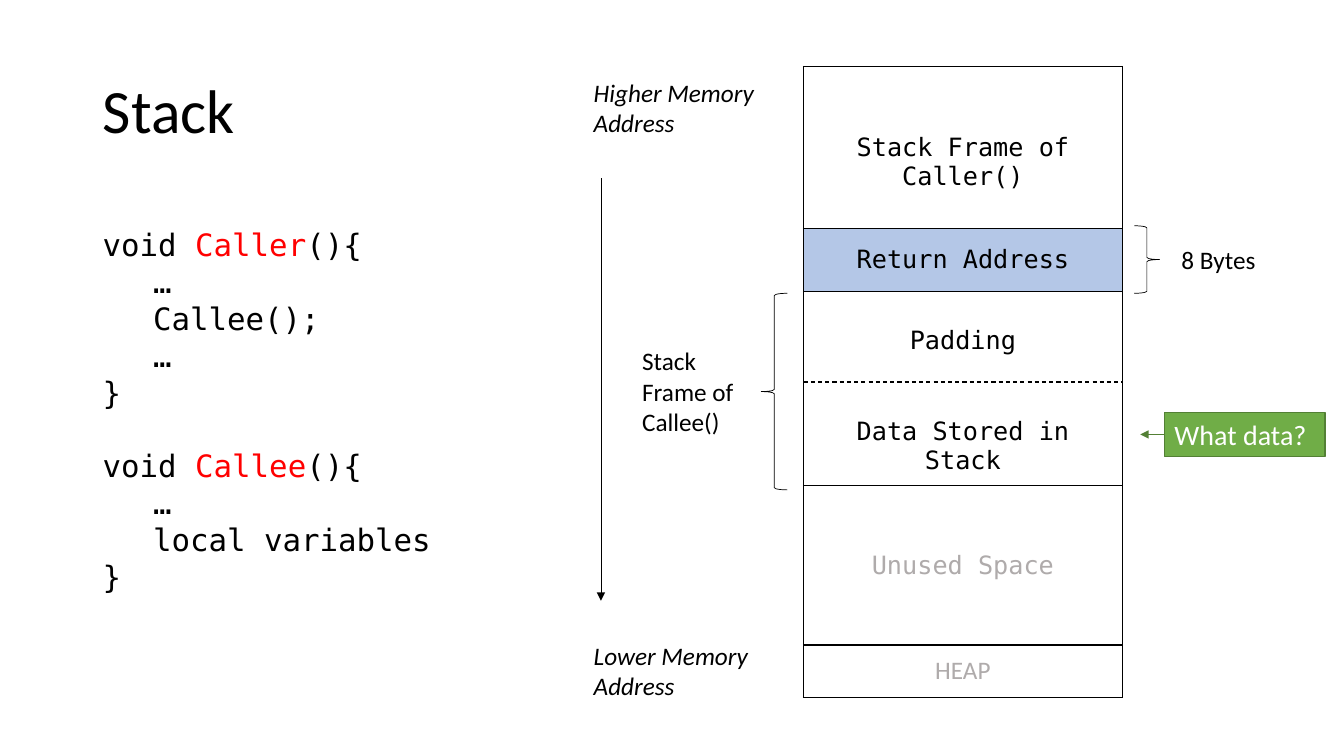
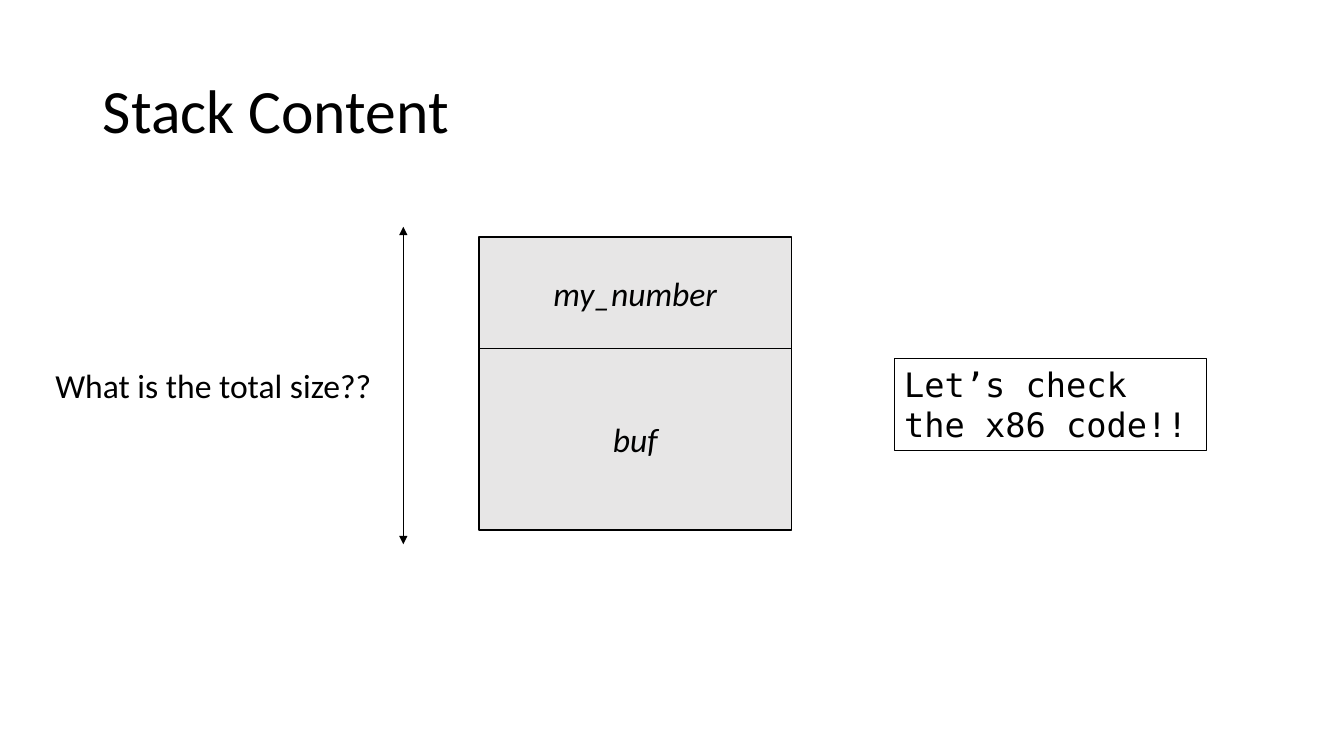
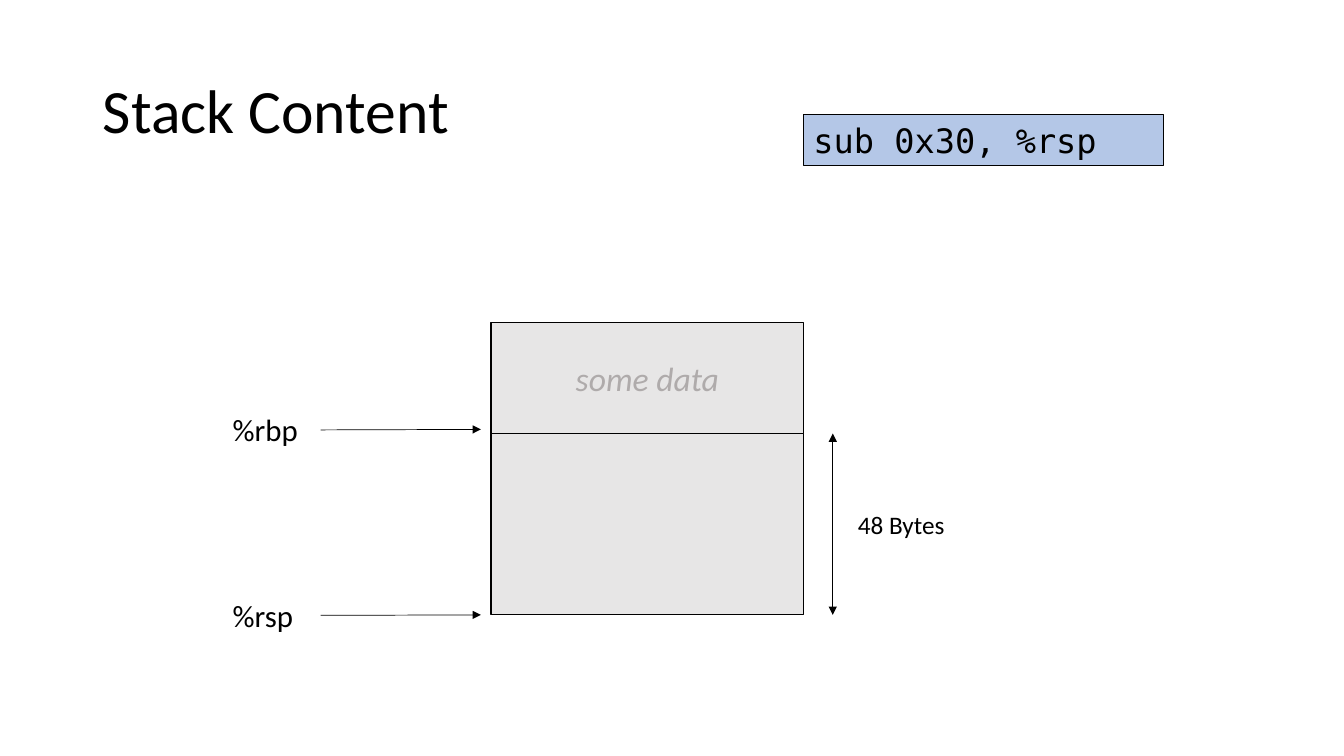
from lxml import etree
from pptx import Presentation
from pptx.dml.color import RGBColor
from pptx.enum.dml import MSO_LINE
from pptx.enum.shapes import MSO_CONNECTOR, MSO_SHAPE
from pptx.enum.text import MSO_ANCHOR, MSO_AUTO_SIZE, PP_ALIGN
from pptx.oxml.ns import qn
from pptx.util import Inches, Pt

BLACK = RGBColor(0x00, 0x00, 0x00)
WHITE = RGBColor(0xFF, 0xFF, 0xFF)
RED = RGBColor(0xFF, 0x00, 0x00)
GREEN = RGBColor(0x70, 0xAD, 0x47)
DARK_GREEN = RGBColor(0x53, 0x80, 0x35)
BLUE = RGBColor(0xB4, 0xC7, 0xE7)
LIGHT_GRAY = RGBColor(0xE7, 0xE6, 0xE6)
GRAY = RGBColor(0xAF, 0xAB, 0xAB)
SANS = "Calibri"
MONO = "DejaVu Sans Mono"


def inches(*values):
    return [Inches(v) for v in values]


def style_font(font, size, color=BLACK, name=SANS, italic=False):
    font.size = Pt(size)
    font.name = name
    font.color.rgb = color
    if italic:
        font.italic = True


def style_line(line, color, width):
    line.color.rgb = color
    line.width = Pt(width)


def new_slide(prs, title):
    s = prs.slides.add_slide(prs.slide_layouts[5])
    sp = s.shapes.title
    sp.left, sp.top, sp.width, sp.height = inches(0.92, 0.4, 11.5, 1.45)
    tf = sp.text_frame
    tf.text = title
    tf.vertical_anchor = MSO_ANCHOR.MIDDLE
    p = tf.paragraphs[0]
    p.alignment = PP_ALIGN.LEFT
    p.line_spacing = 0.9
    style_font(p.font, 44)
    return s


def add_text(s, box, text, size=18, color=BLACK, name=SANS, italic=False,
             fill=None, border=None, border_width=0.75):
    sp = s.shapes.add_textbox(*inches(*box))
    tf = sp.text_frame
    tf.word_wrap = True
    tf.auto_size = MSO_AUTO_SIZE.SHAPE_TO_FIT_TEXT
    tf.text = text
    style_font(tf.paragraphs[0].font, size, color, name, italic)
    if fill is not None:
        sp.fill.solid()
        sp.fill.fore_color.rgb = fill
    if border is not None:
        style_line(sp.line, border, border_width)
    return sp


def add_line(s, start, end, ends=("tailEnd",), color=BLACK, width=0.5, dash=None):
    c = s.shapes.add_connector(MSO_CONNECTOR.STRAIGHT, *inches(*start, *end))
    style_line(c.line, color, width)
    if dash is not None:
        c.line.dash_style = dash
    sp_pr = c._element.spPr
    ln = sp_pr.find(qn("a:ln"))
    for tag in ends:
        etree.SubElement(ln, qn(f"a:{tag}"), type="triangle")
    etree.SubElement(sp_pr, qn("a:effectLst"))
    return c


def add_brace(s, kind, box):
    sp = s.shapes.add_shape(kind, *inches(*box))
    sp.shadow.inherit = False
    sp.fill.background()
    style_line(sp.line, BLACK, 0.5)


def border_cell(cell):
    tc_pr = cell._tc.get_or_add_tcPr()
    for i, side in enumerate(("lnL", "lnR", "lnT", "lnB")):
        ln = etree.Element(qn(f"a:{side}"), w=str(Pt(1)))
        solid = etree.SubElement(ln, qn("a:solidFill"))
        etree.SubElement(solid, qn("a:srgbClr"), val=str(BLACK))
        tc_pr.insert(i, ln)


def add_memory_table(s, x, y, w):
    rows = [
        (1.61, "Stack Frame of Caller()", BLACK, MONO, None, 0.66),
        (0.62, "Return Address", BLACK, MONO, BLUE, None),
        (1.93, "Padding\nData Stored in Stack", BLACK, MONO, None, 0.35),
        (1.58, "Unused Space", GRAY, MONO, None, None),
        (0.52, "HEAP", GRAY, SANS, None, None),
    ]
    total = sum(row[0] for row in rows)
    table = s.shapes.add_table(len(rows), 1, *inches(x, y, w, total)).table
    table.first_row = False
    table.horz_banding = False
    for i, (height, text, color, name, fill, top) in enumerate(rows):
        table.rows[i].height = Inches(height)
        cell = table.cell(i, 0)
        cell.text = text
        if top is None:
            cell.vertical_anchor = MSO_ANCHOR.MIDDLE
        else:
            cell.margin_top = Inches(top)
        if fill is None:
            cell.fill.background()
        else:
            cell.fill.solid()
            cell.fill.fore_color.rgb = fill
        border_cell(cell)
        for j, p in enumerate(cell.text_frame.paragraphs):
            p.alignment = PP_ALIGN.CENTER
            if j:
                p.space_before = Pt(44)
            style_font(p.font, 18, color, name)
    add_line(s, (x, y + 3.13), (x + w, y + 3.13), (), width=0.75, dash=MSO_LINE.DASH)


def add_code(s, box):
    functions = [("Caller", ("…", "Callee();", "…")),
                 ("Callee", ("…", "local variables"))]
    tf = s.shapes.add_textbox(*inches(*box)).text_frame
    tf.word_wrap = True
    p = tf.paragraphs[0]
    for i, (function, body) in enumerate(functions):
        if i:
            p = tf.add_paragraph()
            p.space_before = Pt(26)
        for text, color in (("void ", BLACK), (function, RED), ("(){", BLACK)):
            r = p.add_run()
            r.text = text
            style_font(r.font, 22, color, MONO)
        for text in [f"\t{line}" for line in body] + ["}"]:
            p = tf.add_paragraph()
            p.text = text
            style_font(p.font, 22, name=MONO)


def add_address_axis(s, x, y):
    add_text(s, (x, y, 2.02, 0.71), "Higher Memory Address", italic=True)
    add_text(s, (x, y + 5.58, 2.02, 0.71), "Lower Memory Address", italic=True)
    add_line(s, (x + 0.17, y + 1.05), (x + 0.17, y + 5.24))


def add_blocks(s, x, y, blocks):
    for height, text, color in blocks:
        sp = s.shapes.add_shape(MSO_SHAPE.RECTANGLE, *inches(x, y, 3.1, height))
        sp.shadow.inherit = False
        sp.fill.solid()
        sp.fill.fore_color.rgb = LIGHT_GRAY
        style_line(sp.line, BLACK, 1)
        if text:
            tf = sp.text_frame
            tf.vertical_anchor = MSO_ANCHOR.MIDDLE
            tf.text = text
            p = tf.paragraphs[0]
            p.alignment = PP_ALIGN.CENTER
            style_font(p.font, 24, color, italic=True)
        y += height


def add_span(s, x, top, bottom):
    add_line(s, (x, top), (x, bottom), ("headEnd", "tailEnd"))


def add_pointer(s, x, y, text):
    label = add_text(s, (x, y, 0.97, 0.47), text, 22)
    c = add_line(s, (x + 0.97, y + 0.24), (x + 2.56, y + 0.23))
    c.begin_connect(label, 3)


def stack_slide(prs):
    s = new_slide(prs, "Stack")
    add_memory_table(s, 7.97, 0.66, 3.16)
    add_brace(s, MSO_SHAPE.RIGHT_BRACE, (11.25, 2.24, 0.25, 0.67))
    add_text(s, (11.62, 2.37, 1.13, 0.4), "8 Bytes")
    add_brace(s, MSO_SHAPE.LEFT_BRACE, (7.55, 2.91, 0.26, 1.95))
    add_text(s, (6.27, 3.38, 1.41, 1.01), "Stack Frame of Callee()")
    add_address_axis(s, 5.79, 0.72)
    add_code(s, (0.92, 2.19, 4.33, 3.8))
    question = add_text(s, (11.55, 4.09, 1.59, 0.44), "What data?", 20, WHITE,
                        fill=GREEN, border=DARK_GREEN, border_width=1)
    c = add_line(s, (11.55, 4.31), (11.31, 4.31), color=DARK_GREEN, width=1)
    c.begin_connect(question, 1)


def size_slide(prs):
    s = new_slide(prs, "Stack Content")
    add_blocks(s, 4.75, 2.35, [(1.11, "my_number", BLACK), (1.8, "buf", BLACK)])
    add_span(s, 4, 2.25, 5.4)
    add_text(s, (0.45, 3.57, 3.55, 0.5), "What is the total size??", 24)
    add_text(s, (8.87, 3.56, 3.1, 0.91), "Let’s check the x86 code!!", 24,
             name=MONO, border=BLACK)


def registers_slide(prs):
    s = new_slide(prs, "Stack Content")
    add_blocks(s, 4.87, 3.2, [(1.1, "some data", GRAY), (1.8, "", BLACK)])
    add_pointer(s, 2.21, 4.03, "%rbp")
    add_pointer(s, 2.21, 5.87, "%rsp")
    add_span(s, 8.26, 4.3, 6.1)
    add_text(s, (8.41, 5, 1.24, 0.4), "48 Bytes")
    add_text(s, (7.97, 1.14, 3.57, 0.5), "sub 0x30, %rsp", 24,
             name=MONO, fill=BLUE, border=BLACK)


def main():
    prs = Presentation()
    prs.slide_width, prs.slide_height = inches(13.33, 7.5)
    stack_slide(prs)
    size_slide(prs)
    registers_slide(prs)
    prs.save("out.pptx")


if __name__ == "__main__":
    main()
